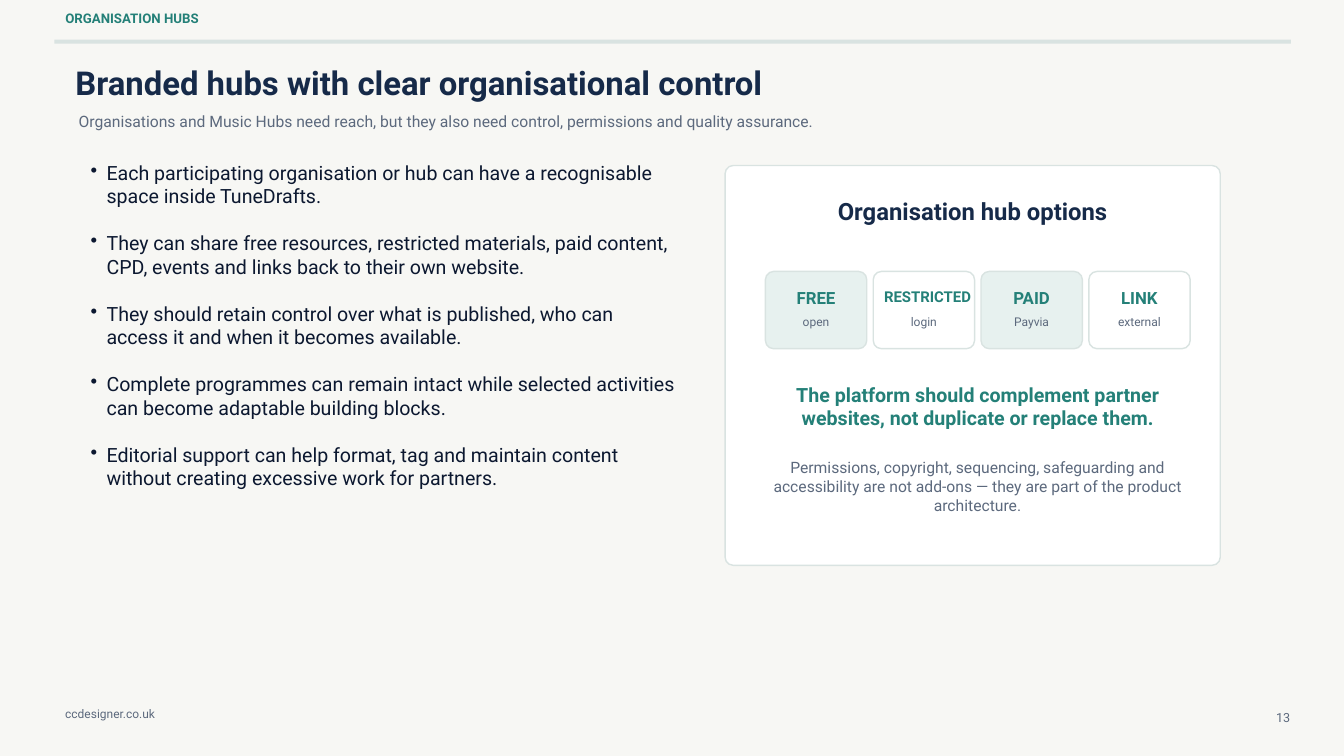
from dataclasses import dataclass
from lxml.etree import SubElement
from pptx import Presentation
from pptx.dml.color import RGBColor
from pptx.enum.shapes import MSO_SHAPE
from pptx.enum.text import PP_ALIGN
from pptx.oxml.ns import qn
from pptx.util import Pt


@dataclass(frozen=True)
class Theme:
    font: str = "Roboto"
    paper: str = "F7F7F4"
    white: str = "FFFFFF"
    border: str = "D9E3E1"
    tint: str = "E7F1EF"
    teal: str = "248078"
    navy: str = "162A49"
    ink: str = "0C1830"
    grey: str = "5C697D"
    title: float = 35.2
    heading: float = 25.5
    body: float = 21
    label: float = 18
    small_label: float = 16
    support: float = 16.8
    section: float = 14.2
    number: float = 13.5
    caption: float = 12.9
    footer: float = 12.8
    leading: float = 1.2


@dataclass(frozen=True)
class Box:
    left: float
    top: float
    width: float
    height: float

    def inner(self, left, top, width, height):
        return Box(self.left + left, self.top + top, width, height)

    def lengths(self):
        return Pt(self.left), Pt(self.top), Pt(self.width), Pt(self.height)


THEME = Theme()
LEFT, CENTER, RIGHT = PP_ALIGN.LEFT, PP_ALIGN.CENTER, PP_ALIGN.RIGHT

BULLETS = [
    "Each participating organisation or hub can have a recognisable space inside TuneDrafts.",
    "They can share free resources, restricted materials, paid content, CPD, events and links back to their own website.",
    "They should retain control over what is published, who can access it and when it becomes available.",
    "Complete programmes can remain intact while selected activities can become adaptable building blocks.",
    "Editorial support can help format, tag and maintain content without creating excessive work for partners.",
]
OPTIONS = [
    ("FREE", "open", THEME.label, 96),
    ("RESTRICTED", "login", THEME.small_label, 104),
    ("PAID", "Payvia", THEME.label, 96),
    ("LINK", "external", THEME.label, 96),
]


def add_text(page, box, lines, size, color, bold=False, align=LEFT):
    frame = page.shapes.add_textbox(*box.lengths()).text_frame
    frame.word_wrap = True
    frame.margin_left = frame.margin_top = frame.margin_right = frame.margin_bottom = 0
    frame.text = "\n".join(lines)
    for para in frame.paragraphs:
        para.alignment = align
        para.line_spacing = Pt(size * THEME.leading)
        for span in para.runs:
            span.font.name = THEME.font
            span.font.size = Pt(size)
            span.font.bold = bold
            span.font.color.rgb = RGBColor.from_string(color)
    return frame


def add_panel(page, box, fill, radius=0):
    kind = MSO_SHAPE.ROUNDED_RECTANGLE if radius else MSO_SHAPE.RECTANGLE
    panel = page.shapes.add_shape(kind, *box.lengths())
    panel.shadow.inherit = False
    panel.fill.solid()
    panel.fill.fore_color.rgb = RGBColor.from_string(fill)
    if radius:
        panel.adjustments[0] = radius / min(box.width, box.height)
        panel.line.color.rgb = RGBColor.from_string(THEME.border)
        panel.line.width = Pt(1.5)
    else:
        panel.line.fill.background()


def add_header(page, box):
    add_panel(page, box.inner(0, 31.7, box.width, 4.3), THEME.border)
    add_text(page, box.inner(11.7, 0, 670, 26), ["ORGANISATION HUBS"],
             THEME.section, THEME.teal, bold=True)


def add_title(page, box):
    add_text(page, box.inner(0, 0, 994, 52),
             ["Branded hubs with clear organisational control"],
             THEME.title, THEME.navy, bold=True)
    add_text(page, box.inner(3.4, 53.3, box.width - 3.4, 24.5),
             ["Organisations and Music Hubs need reach, but they also need control, permissions and quality assurance."],
             THEME.support, THEME.grey)


def add_bullets(page, box):
    frame = add_text(page, box, BULLETS, THEME.body, THEME.ink)
    for index, para in enumerate(frame.paragraphs):
        if index:
            para.space_before = Pt(THEME.body * THEME.leading)
        properties = para._p.get_or_add_pPr()
        properties.set("marL", str(Pt(17)))
        properties.set("indent", str(-Pt(17)))
        SubElement(properties, qn("a:buChar")).set("char", "•")


def add_option(page, box, option, fill):
    name, access, size, label_width = option
    add_panel(page, box, fill, radius=8.8)
    add_text(page, box.inner(6.2, 17.4, label_width, 24), [name],
             size, THEME.teal, bold=True, align=CENTER)
    add_text(page, box.inner(6.2, 46.2, 96, 19), [access],
             THEME.caption, THEME.grey, align=CENTER)


def add_hub_card(page, box):
    add_panel(page, box, THEME.white, radius=8.8)
    add_text(page, box.inner(33.1, 33.1, 464.4, 32), ["Organisation hub options"],
             THEME.heading, THEME.navy, bold=True, align=CENTER)
    for index, option in enumerate(OPTIONS):
        fill = THEME.white if index % 2 else THEME.tint
        add_option(page, box.inner(43.2 + 115.5 * index, 113.5, 108.6, 82.8), option, fill)
    add_text(page, box.inner(43.9, 232.6, 453.6, 55),
             ["The platform should complement partner websites, not duplicate or replace them."],
             THEME.body, THEME.teal, bold=True, align=CENTER)
    add_text(page, box.inner(38.2, 313.2, 464.4, 53),
             ["Permissions, copyright, sequencing, safeguarding and accessibility are not add-ons — they are part of the product architecture."],
             THEME.support, THEME.grey, align=CENTER)


def add_footer(page, box):
    add_text(page, box.inner(0, 0, 238, 22), ["ccdesigner.co.uk"], THEME.footer, THEME.grey)
    add_text(page, box.inner(box.width - 27.4, 2.9, 27.4, 22), ["13"],
             THEME.number, THEME.grey, align=RIGHT)


def main():
    deck = Presentation()
    deck.slide_width, deck.slide_height = Pt(1440), Pt(810)
    page = deck.slides.add_slide(deck.slide_layouts[6])
    page.background.fill.solid()
    page.background.fill.fore_color.rgb = RGBColor.from_string(THEME.paper)
    add_header(page, Box(58.3, 10.8, 1324.8, 36))
    add_title(page, Box(80.8, 67, 1245.4, 78))
    add_bullets(page, Box(97.2, 172.1, 626.4, 347))
    add_hub_card(page, Box(776.9, 177.3, 530.6, 428.4))
    add_footer(page, Box(69.9, 757.4, 1312.5, 25))
    deck.save("out.pptx")


if __name__ == "__main__":
    main()
